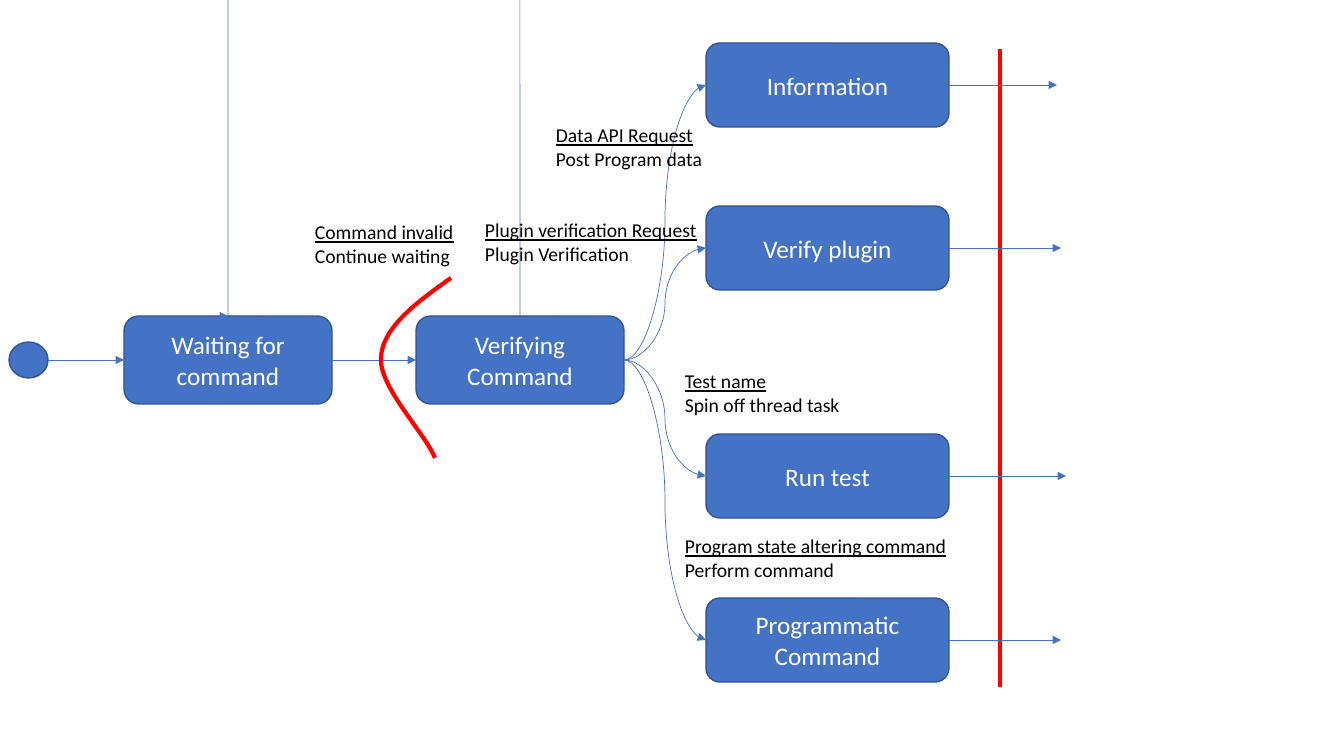
"""Build a slide with the state diagram of a command handler."""
from pptx import Presentation
from pptx.dml.color import RGBColor
from pptx.enum.shapes import MSO_CONNECTOR as Link, MSO_SHAPE as Shape
from pptx.enum.text import MSO_ANCHOR as Anchor, PP_ALIGN as Align
from pptx.oxml.ns import qn
from pptx.util import Emu, Pt
from lxml.etree import SubElement

BLUE = RGBColor(0x44, 0x72, 0xC4)
DARK_BLUE = RGBColor(0x32, 0x54, 0x91)
RED = RGBColor(0xFF, 0x00, 0x00)
WHITE = RGBColor(0xFF, 0xFF, 0xFF)
BLACK = RGBColor(0x00, 0x00, 0x00)
SCALE = 914400 / 100.8
TOP, LEFT, RIGHT = 0, 1, 3

presentation = Presentation()
presentation.slide_width = Emu(round(1344 * SCALE))
presentation.slide_height = Emu(round(756 * SCALE))
slide = presentation.slides.add_slide(presentation.slide_layouts[6])
shapes = slide.shapes


def add_state(kind, text, *box):
    """Add a filled state with centred text."""
    state = shapes.add_shape(kind, *(Emu(round(n * SCALE)) for n in box))
    state.shadow.inherit = False
    state.fill.solid()
    state.fill.fore_color.rgb = BLUE
    state.line.color.rgb = DARK_BLUE
    state.line.width = Pt(1)
    if text:
        state.text_frame.word_wrap = True
        state.text_frame.vertical_anchor = Anchor.MIDDLE
        paragraph = state.text_frame.paragraphs[0]
        paragraph.alignment = Align.CENTER
        run = paragraph.add_run()
        run.text = text
        run.font.name = "Calibri"
        run.font.size = Pt(18)
        run.font.color.rgb = WHITE
    return state


def add_link(kind, ends=(0, 0, 0, 0), color=BLUE, width=0.5, arrow=True):
    """Add a line between two points, with an arrowhead if asked."""
    link = shapes.add_connector(kind, *(Emu(round(n * SCALE)) for n in ends))
    link.line.color.rgb = color
    link.line.width = Pt(width)
    if arrow:
        SubElement(link.line._get_or_add_ln(), qn("a:tailEnd"), type="triangle")
    SubElement(link._element.spPr, qn("a:effectLst"))
    return link


add_state(Shape.OVAL, "", 9, 342, 39, 36)
waiting = add_state(Shape.ROUNDED_RECTANGLE, "Waiting for command", 124, 316, 208, 88)
verifying = add_state(Shape.ROUNDED_RECTANGLE, "Verifying Command", 416, 316, 208, 88)
add_link(Link.STRAIGHT, (48, 360, 124, 360))
command_link = add_link(Link.STRAIGHT)
command_link.begin_connect(waiting, RIGHT)
command_link.end_connect(verifying, LEFT)

feedback = add_link(Link.CURVE)
feedback.begin_connect(verifying, TOP)
feedback.end_connect(waiting, TOP)
span = verifying.left - waiting.left
feedback.left = Emu(waiting.left + waiting.width // 2 + span // 2)
feedback.top = Emu(waiting.top - span // 2)
feedback.width, feedback.height = Emu(1), Emu(span)
transform = feedback._element.spPr.find(qn("a:xfrm"))
for name, value in (("rot", "16200000"), ("flipH", "1"), ("flipV", "1")):
    transform.set(name, value)
geometry = feedback._element.spPr.find(qn("a:prstGeom"))
guides = geometry.find(qn("a:avLst"))
if guides is None:
    guides = SubElement(geometry, qn("a:avLst"))
SubElement(guides, qn("a:gd"), name="adj1", fmla="val -22860000000")

add_link(Link.STRAIGHT, (1000, 49, 1000, 687), RED, 3, False)

for text, top, exit_end in (
    ("Information", 43, 1057),
    ("Verify plugin", 206, 1061),
    ("Run test", 434, 1066),
    ("Programmatic Command", 598, 1061),
):
    task = add_state(Shape.ROUNDED_RECTANGLE, text, 706, top, 243, 84)
    branch = add_link(Link.CURVE)
    branch.begin_connect(verifying, RIGHT)
    branch.end_connect(task, LEFT)
    exit_link = add_link(Link.STRAIGHT, (949, top + 42, exit_end, top + 42))
    exit_link.begin_connect(task, RIGHT)

for trigger, action, left, top, width in (
    ("Command invalid", "Continue waiting", 305, 215, 162),
    ("Plugin verification Request", "Plugin Verification", 475, 213, 243),
    ("Test name", "Spin off thread task", 675, 364, 243),
    ("Program state altering command", "Perform command", 675, 529, 293),
    ("Data API Request", "Post Program data", 546, 118, 170),
):
    label = shapes.add_textbox(*(Emu(round(n * SCALE)) for n in (left, top, width, 57)))
    label.text_frame.word_wrap = True
    paragraph = label.text_frame.paragraphs[0]
    paragraph.font.size = Pt(14)
    for text, underlined in ((trigger, True), (action, False)):
        run = paragraph.add_run()
        run.text = text
        run.font.name = "Calibri"
        run.font.size = Pt(14)
        run.font.color.rgb = BLACK
        run.font.underline = underlined
        if underlined:
            paragraph.add_line_break()

STEPS = 24
barrier_points = []
for curve in (
    ((451, 278), (417, 302), (383, 327), (381, 357)),
    ((381, 357), (378, 386), (425, 433), (435, 458)),
):
    for step in range(1, STEPS + 1):
        t = step / STEPS
        weights = ((1 - t) ** 3, 3 * t * (1 - t) ** 2, 3 * t * t * (1 - t), t ** 3)
        barrier_points.append(tuple(
            sum(weight * point[axis] for weight, point in zip(weights, curve))
            for axis in (0, 1)
        ))
builder = shapes.build_freeform(
    round(451 * SCALE), round(278 * SCALE), scale=1.0
)
builder.add_line_segments(
    [(round(x * SCALE), round(y * SCALE)) for x, y in barrier_points], close=False
)
barrier = builder.convert_to_shape()
barrier.shadow.inherit = False
barrier.fill.background()
barrier.line.color.rgb = RED
barrier.line.width = Pt(3)

presentation.save("out.pptx")
